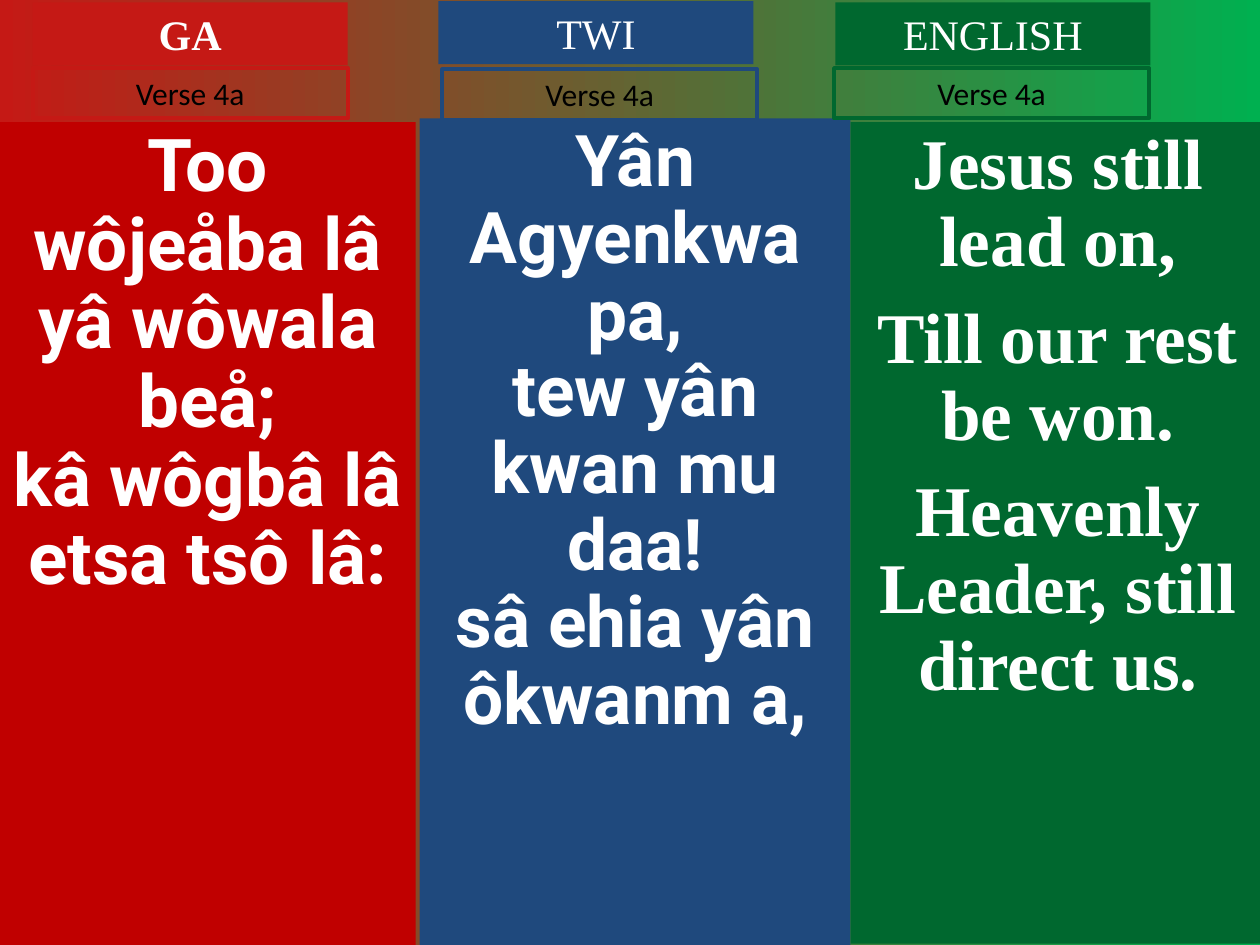
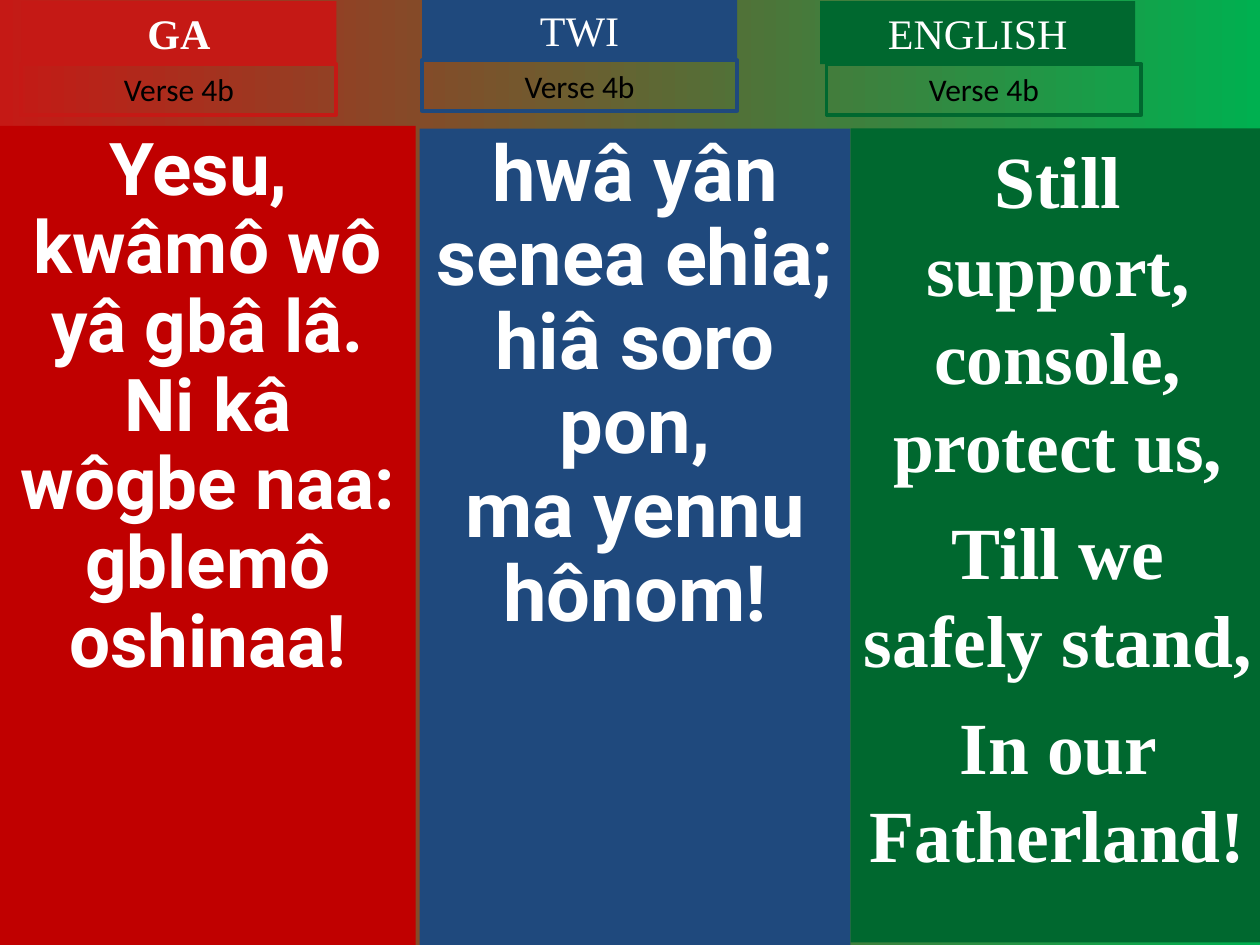
"""Build two hymn slides with Ga, Twi and English lyrics side by side."""
import pptx
import pptx.dml.color
import pptx.enum.shapes
import pptx.enum.text
import pptx.util

Pt = pptx.util.Pt
RGB = pptx.dml.color.RGBColor.from_string
HUES = {"red": "C51915", "deep": "C00000", "blue": "1F497D",
        "green": "00682F", "lime": "00B050", "white": "FFFFFF", "black": "000000"}
WIDE, HIGH = 720, 540
TAB = (180, 36)
TAG = (180, 28.8)

TONGUES = [
    {"name": "GA", "hue": "red", "panel": "deep", "left": 0, "width": 237.6,
     "font": "Roboto", "bold": True},
    {"name": "TWI", "hue": "blue", "panel": "blue", "left": 239.76, "width": 246.24,
     "font": "Roboto", "bold": False},
    {"name": "ENGLISH", "hue": "green", "panel": "green", "left": 486, "width": 236.9,
     "font": "Times New Roman", "bold": False},
]

VERSES = [
    ("Verse 4a", [
        {"tab": (18.72, 1.44), "tag": (18.72, 38.88), "top": 69.84, "end": 540,
         "size": 41.6, "lead": 0.9, "gap": 0,
         "lines": ["Too wôjeåba lâ", "yâ wôwala beå;", "kâ wôgbâ lâ etsa tsô lâ:"]},
        {"tab": (250.56, 0.72), "tag": (252.72, 39.6), "top": 67.68, "end": 540,
         "size": 40.7, "lead": 0.9, "gap": 0,
         "lines": ["Yân Agyenkwa pa,", "tew yân kwan mu daa!", "sâ ehia yân ôkwanm a,"]},
        {"tab": (477.36, 1.44), "tag": (476.64, 38.88), "top": 69.84, "end": 539.28,
         "size": 40.7, "lead": 0.9, "gap": 11,
         "lines": ["Jesus still lead on,", "Till our rest be won.",
                   "Heavenly Leader, still direct us."]},
    ]),
    ("Verse 4b", [
        {"tab": (12.24, 0.72), "tag": (12.24, 36.72), "top": 72, "end": 540,
         "size": 41.6, "lead": 0.9, "gap": 0,
         "lines": ["Yesu, ", "kwâmô wô yâ gbâ lâ.", "Ni kâ wôgbe naa:",
                   "gblemô oshinaa!"]},
        {"tab": (241.2, -0.72), "tag": (241.2, 34.56), "top": 73.44, "end": 540,
         "size": 44.4, "lead": 0.9, "gap": 0,
         "lines": ["hwâ yân senea ehia;", "hiâ soro pon,", "ma yennu hônom!"]},
        {"tab": (468.72, 0.72), "tag": (472.32, 36.72), "top": 73.44, "end": 538.56,
         "size": 42, "lead": 1.0, "gap": 10.5,
         "lines": ["Still support, console, protect us,", "Till we safely stand,",
                   "In our Fatherland!"]},
    ]),
]


def add_box(slide, area, fill=None, edge=None):
    box = slide.shapes.add_shape(pptx.enum.shapes.MSO_SHAPE.RECTANGLE,
                                 *[Pt(side) for side in area])
    box.shadow.inherit = False
    if fill:
        box.fill.solid()
        box.fill.fore_color.rgb = RGB(HUES[fill])
    else:
        box.fill.background()
    if edge:
        box.line.color.rgb = RGB(HUES[edge])
        box.line.width = Pt(2.25)
    else:
        box.line.fill.background()
    return box


def write(box, lines, font, size, hue="white", bold=False, lead=1.0, gap=0):
    frame = box.text_frame
    frame.word_wrap = True
    frame.vertical_anchor = pptx.enum.text.MSO_ANCHOR.TOP
    frame.text = "\n".join(lines)
    for rank, para in enumerate(frame.paragraphs):
        para.alignment = pptx.enum.text.PP_ALIGN.CENTER
        para.line_spacing = lead
        para.space_before = Pt(gap if rank else 0)
        for run in para.runs:
            run.font.name = font
            run.font.size = Pt(size)
            run.font.bold = bold
            run.font.color.rgb = RGB(HUES[hue])


def paint(slide):
    back = slide.background.fill
    back.gradient()
    back.gradient_angle = 0
    for stop, hue in zip(back.gradient_stops, ("red", "lime")):
        stop.color.rgb = RGB(HUES[hue])


def add_verse(slide, label, tongue, part):
    area = (tongue["left"], part["top"], tongue["width"], part["end"] - part["top"])
    panel = add_box(slide, area, fill=tongue["panel"])
    write(panel, part["lines"], tongue["font"], part["size"], bold=True,
          lead=part["lead"], gap=part["gap"])
    tab = add_box(slide, part["tab"] + TAB, fill=tongue["hue"])
    write(tab, [tongue["name"]], "Times New Roman", 24, bold=tongue["bold"])
    tag = add_box(slide, part["tag"] + TAG, edge=tongue["hue"])
    write(tag, [label], "Calibri", 18, hue="black")


def main():
    deck = pptx.Presentation()
    deck.slide_width, deck.slide_height = Pt(WIDE), Pt(HIGH)
    for label, parts in VERSES:
        slide = deck.slides.add_slide(deck.slide_layouts[6])
        paint(slide)
        for tongue, part in zip(TONGUES, parts):
            add_verse(slide, label, tongue, part)
    deck.save("out.pptx")


if __name__ == "__main__":
    main()
